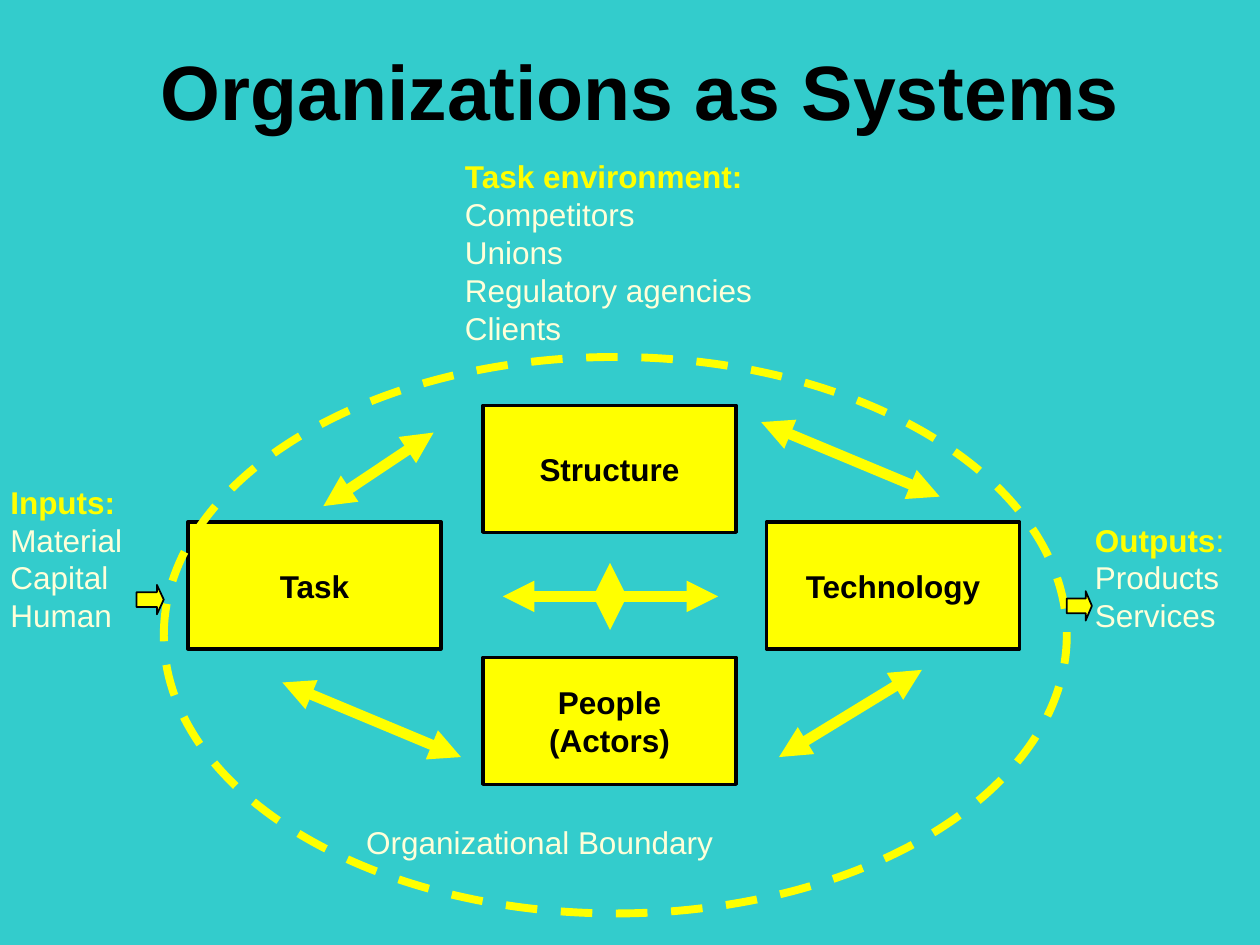
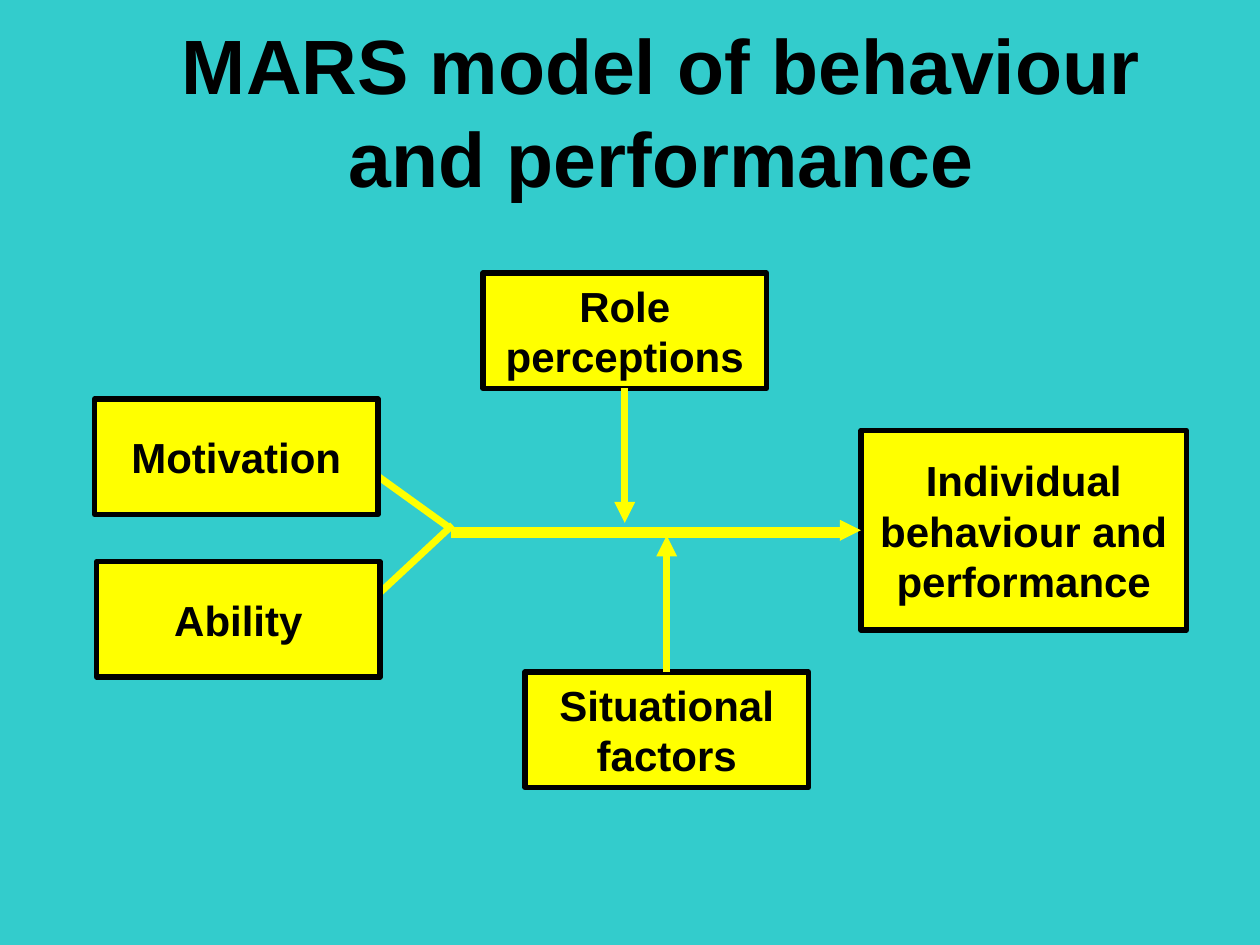
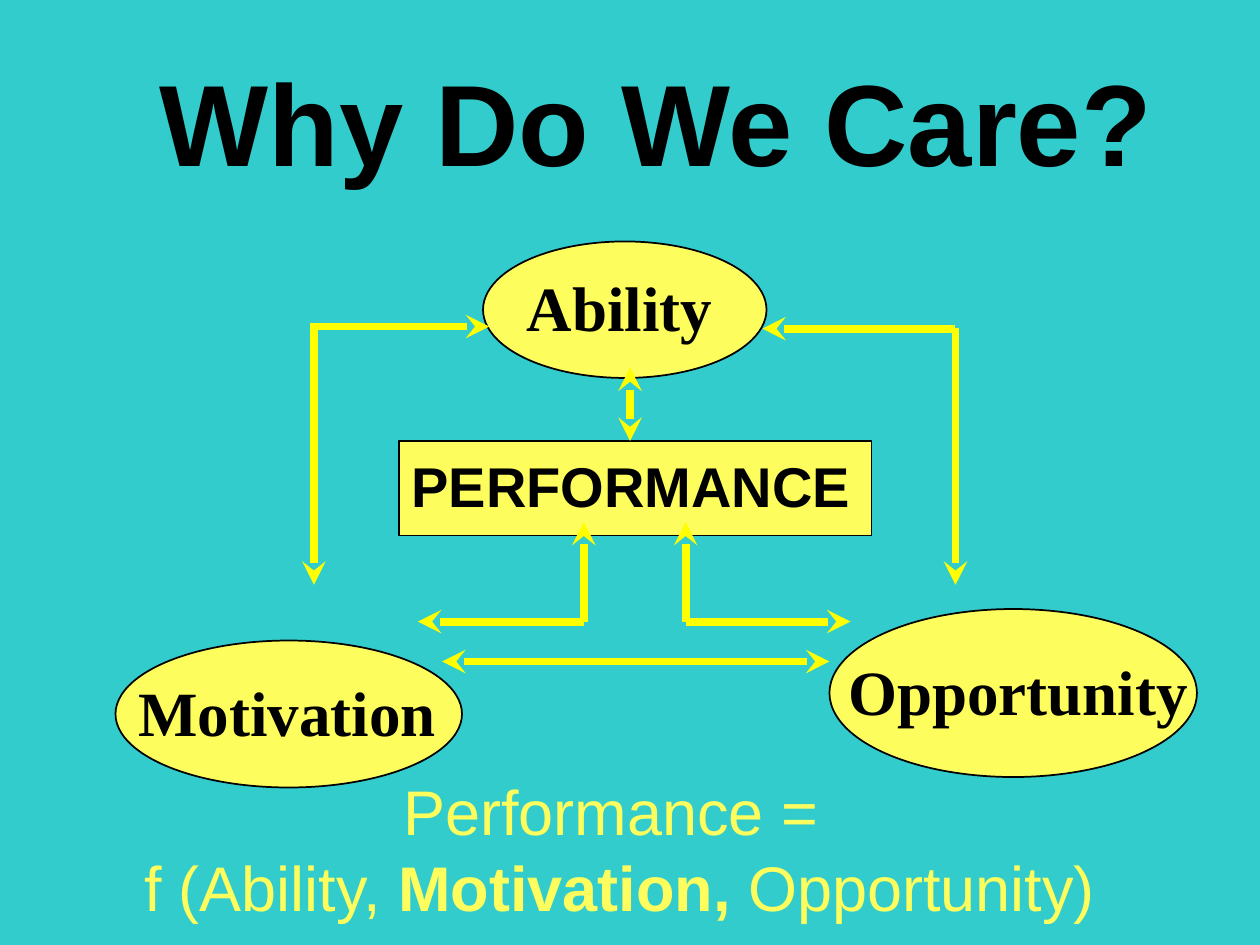
from dataclasses import dataclass

from lxml import etree
from pptx import Presentation
from pptx.dml.color import RGBColor
from pptx.enum.dml import MSO_LINE
from pptx.enum.shapes import MSO_CONNECTOR, MSO_SHAPE
from pptx.enum.text import MSO_ANCHOR, MSO_AUTO_SIZE, PP_ALIGN
from pptx.oxml.ns import qn
from pptx.util import Inches, Pt

RECTANGLE, OVAL, BLOCK_ARROW = MSO_SHAPE.RECTANGLE, MSO_SHAPE.OVAL, MSO_SHAPE.RIGHT_ARROW
STRAIGHT, DASH = MSO_CONNECTOR.STRAIGHT, MSO_LINE.DASH
LEFT, CENTER = PP_ALIGN.LEFT, PP_ALIGN.CENTER
TOP, MIDDLE = MSO_ANCHOR.TOP, MSO_ANCHOR.MIDDLE
NO_AUTOFIT = MSO_AUTO_SIZE.NONE
TOP_SIDE, LEFT_SIDE, BOTTOM_SIDE = 0, 1, 2
TITLE_ONLY = 5
COLUMNS, ROWS = 120, 90
CELL = Inches(10) / COLUMNS


@dataclass(frozen=True)
class Theme:
    background: str = "33CCCC"
    accent: str = "FFFF00"
    pale: str = "FFFFD9"
    soft: str = "FDFD5D"
    ink: str = "000000"
    sans: str = "Arial"
    serif: str = "Times New Roman"
    title: int = 44
    banner: int = 66
    note: int = 18
    box: int = 24
    performance: int = 32
    factor: int = 36


THEME = Theme()
HEADING = {"bold": True, "color": THEME.accent}

SYSTEM_TITLE = ("Organizations as Systems", (4, 1, 114, 15))
SYSTEM_NOTES = [
    ((103.1, 49, 16, 12),
     [[("Outputs", HEADING), (":", {"color": THEME.accent})], "Products", "Services"]),
    ((-0.2, 45.4, 14, 15.6),
     [[("Inputs:", HEADING)], "Material", "Capital", "Human"]),
    ((43.1, 14.4, 31, 19.2),
     [[("Task environment:", HEADING)], "Competitors", "Unions",
      "Regulatory agencies", "Clients"]),
    ((33.7, 77.8, 46.9, 4.8), ["Organizational Boundary"]),
]
SYSTEM_BOX = (24.1, 12.1)
SYSTEM_PARTS = [
    ((46, 38.6), ["Structure"]),
    ((17.9, 49.7), ["Task"]),
    ((73, 49.7), ["Technology"]),
    ((46, 62.6), ["People", "(Actors)"]),
]
SYSTEM_LINKS = [
    ((74.2, 72.1), (87.8, 63.8)),
    ((43.9, 72.1), (26.9, 65)),
    ((58.1, 53.6), (58.1, 60)),
    ((47.9, 56.8), (68.4, 56.8)),
    ((30.8, 48.2), (41.3, 41.2)),
    ((89.5, 47.3), (72.5, 40.2)),
]
BOUNDARY = (15.6, 34, 86, 53)
FLOW_ARROWS = [(13, 55.7, 2.6, 2.8), (101.6, 56.3, 2.4, 2.8)]

MARS_TITLE = ("MARS model of behaviour and performance", (12, 5, 102, 11))
MARS_BRANCHES = [((34.8, 44.5), (43, 50.4)), ((34.3, 58.2), (43.1, 50))]
MARS_BOXES = {
    "motivation": ((9, 38, 27, 11), ["Motivation"]),
    "ability": ((9.2, 53.5, 27, 11), ["Ability"]),
    "role": ((46, 26, 27, 11), ["Role", "perceptions"]),
    "situation": ((50, 64, 27, 11), ["Situational", "factors"]),
    "outcome": ((82, 41, 31, 19), ["Individual", "behaviour and", "performance"]),
}
MARS_SPINE = ((43, 50.9), (80, 50.9))
MARS_JOINS = [
    ("role", BOTTOM_SIDE, (59.5, 37), (59.5, 49.8)),
    ("situation", TOP_SIDE, (63.5, 64), (63.5, 51)),
]
MARS_RESULT = ("outcome", LEFT_SIDE, (43.1, 50.5), (82, 50.5))

CARE_TITLE = ("Why Do We Care?", (13, 4, 99, 15))
CARE_SHAPES = [
    (RECTANGLE, (38, 42, 45, 9)),
    (OVAL, (79, 58, 35, 16)),
    (OVAL, (11, 61, 33, 14)),
    (OVAL, (46, 23, 27, 13)),
]
CARE_LINKS = [
    ((46.6, 31.1), (29.5, 31.1), "head"),
    ((29.9, 31.1), (29.9, 55.7), "tail"),
    ((72.6, 31.3), (91, 31.3), "head"),
    ((91, 31.2), (91, 55.7), "tail"),
    ((60, 35), (60, 42), "both"),
    ((42.1, 63), (79, 63), "both"),
    ((55.6, 49.7), (55.6, 59.2), "head"),
    ((55.6, 59.2), (39.8, 59.2), "tail"),
    ((65.3, 49.7), (65.3, 59.2), "head"),
    ((65.3, 59.2), (81, 59.2), "tail"),
]
CARE_FACTORS = [
    ("Opportunity", (79.6, 61.6, 36, 8.4)),
    ("Motivation", (12, 63.6, 32, 8.4)),
    ("Ability", (49, 25, 21, 8.4)),
]
CARE_PERFORMANCE = ("PERFORMANCE", (38, 42.4, 46, 7.7))
CARE_FORMULA = (
    ["Performance = ",
     [("f (Ability, ", {}), ("Motivation, ", {"bold": True}), ("Opportunity)", {})]],
    (9, 73, 100, 15.6),
)


def cells(values):
    return [round(value * CELL) for value in values]


def write(shape, lines, size=THEME.note, color=THEME.ink, font=THEME.sans,
          bold=False, align=LEFT, anchor=TOP):
    frame = shape.text_frame
    frame.word_wrap = True
    frame.auto_size = NO_AUTOFIT
    frame.vertical_anchor = anchor
    for index, line in enumerate(lines):
        paragraph = frame.add_paragraph() if index else frame.paragraphs[0]
        paragraph.alignment = align
        for text, changes in [(line, {})] if isinstance(line, str) else line:
            run = paragraph.add_run()
            run.text = text
            run.font.name = font
            run.font.size = Pt(size)
            run.font.bold = changes.get("bold", bold)
            run.font.color.rgb = RGBColor.from_string(changes.get("color", color))


def add_text(slide, area, lines, **style):
    write(slide.shapes.add_textbox(*cells(area)), lines, **style)


def add_block(slide, kind, area, fill=THEME.accent, outline=THEME.ink, width=1):
    shape = slide.shapes.add_shape(kind, *cells(area))
    shape.shadow.inherit = False
    if fill:
        shape.fill.solid()
        shape.fill.fore_color.rgb = RGBColor.from_string(fill)
    else:
        shape.fill.background()
    shape.line.color.rgb = RGBColor.from_string(outline)
    shape.line.width = Pt(width)
    return shape


def add_box(slide, area, lines, size, width):
    shape = add_block(slide, RECTANGLE, area, width=width)
    write(shape, lines, size=size, bold=True, align=CENTER, anchor=MIDDLE)
    return shape


def add_link(slide, start, end, width, arrow="triangle", ends=""):
    connector = slide.shapes.add_connector(STRAIGHT, *cells(start + end))
    connector.line.color.rgb = RGBColor.from_string(THEME.accent)
    connector.line.width = Pt(width)
    line = connector.line._get_or_add_ln()
    for side in ("head", "tail"):
        if ends in (side, "both"):
            etree.SubElement(line, qn(f"a:{side}End"), type=arrow)
    etree.SubElement(connector._element.spPr, qn("a:effectLst"))
    return connector


def add_slide(presentation, title, size=THEME.title):
    text, area = title
    slide = presentation.slides.add_slide(presentation.slide_layouts[TITLE_ONLY])
    placeholder = slide.shapes.title
    placeholder.left, placeholder.top, placeholder.width, placeholder.height = cells(area)
    write(placeholder, [text], size=size, bold=True, align=CENTER, anchor=MIDDLE)
    return slide


def build_system(presentation):
    slide = add_slide(presentation, SYSTEM_TITLE)
    for start, end in SYSTEM_LINKS:
        add_link(slide, start, end, 6, ends="both")
    for corner, lines in SYSTEM_PARTS:
        add_box(slide, corner + SYSTEM_BOX, lines, THEME.note, 2)
    boundary = add_block(slide, OVAL, BOUNDARY, fill=None, outline=THEME.accent, width=4.5)
    boundary.line.dash_style = DASH
    for area, lines in SYSTEM_NOTES:
        add_text(slide, area, lines, color=THEME.pale)
    for area in FLOW_ARROWS:
        add_block(slide, BLOCK_ARROW, area).adjustments[1] = 0.25


def build_mars(presentation):
    slide = add_slide(presentation, MARS_TITLE)
    for start, end in MARS_BRANCHES:
        add_link(slide, start, end, 4)
    boxes = {name: add_box(slide, area, lines, THEME.box, 3)
             for name, (area, lines) in MARS_BOXES.items()}
    for name, side, start, end in MARS_JOINS:
        add_link(slide, start, end, 4, ends="tail").begin_connect(boxes[name], side)
    name, side, start, end = MARS_RESULT
    add_link(slide, start, end, 4, ends="tail").end_connect(boxes[name], side)
    add_link(slide, *MARS_SPINE, 4.5)


def build_care(presentation):
    slide = add_slide(presentation, CARE_TITLE, THEME.banner)
    for kind, area in CARE_SHAPES:
        add_block(slide, kind, area, fill=THEME.soft)
    for start, end, ends in CARE_LINKS:
        add_link(slide, start, end, 4.5, "stealth", ends)
    for name, area in CARE_FACTORS:
        add_text(slide, area, [name], size=THEME.factor, font=THEME.serif, bold=True)
    text, area = CARE_PERFORMANCE
    add_text(slide, area, [text], size=THEME.performance, bold=True)
    lines, area = CARE_FORMULA
    add_text(slide, area, lines, size=THEME.factor, color=THEME.soft, align=CENTER)


def main():
    presentation = Presentation()
    presentation.slide_width, presentation.slide_height = cells((COLUMNS, ROWS))
    background = presentation.slide_master.background.fill
    background.solid()
    background.fore_color.rgb = RGBColor.from_string(THEME.background)
    for build in (build_system, build_mars, build_care):
        build(presentation)
    presentation.save("out.pptx")


if __name__ == "__main__":
    main()
